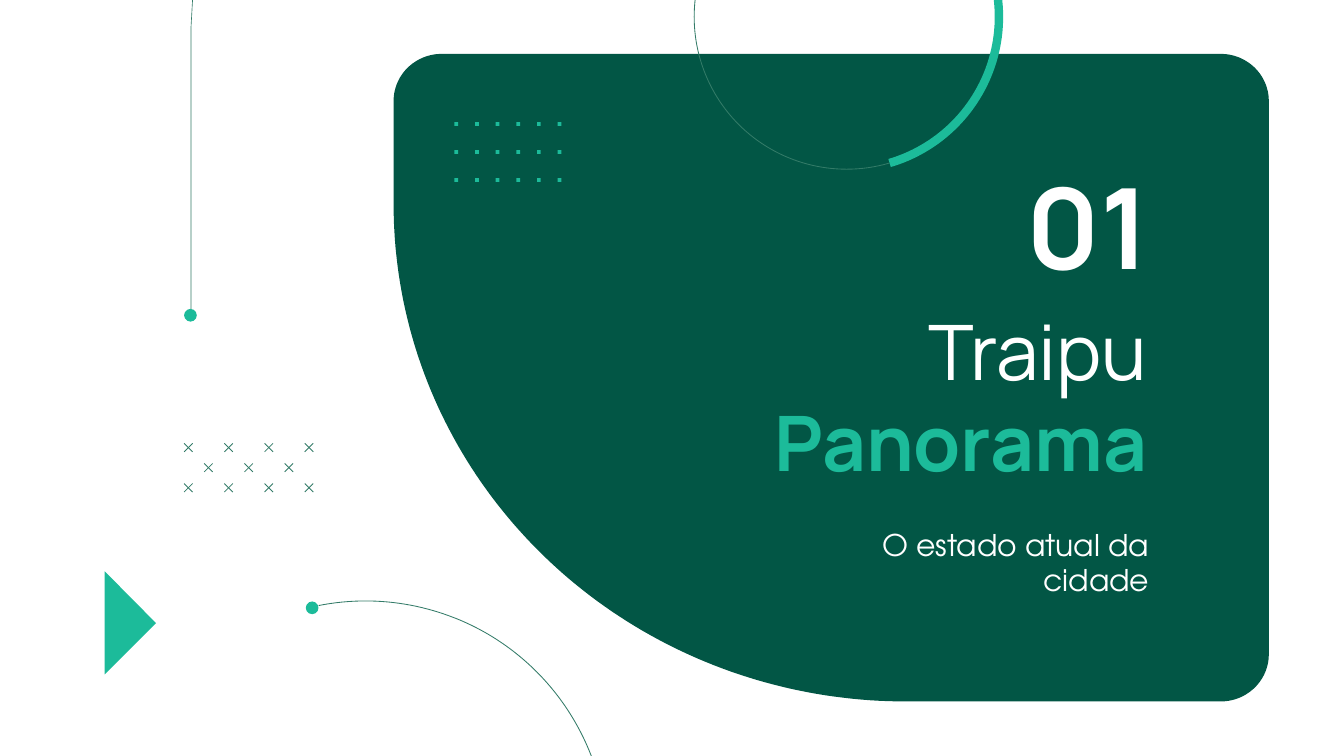
import math
from dataclasses import dataclass

import pptx
import pptx.dml.color
import pptx.enum.shapes
import pptx.enum.text
import pptx.oxml
import pptx.util
from pptx.util import Cm


@dataclass(frozen=True)
class Theme:
    dark: str = "025645"
    accent: str = "1CBB9A"
    outline: str = "337B68"
    light: str = "FFFFFF"
    heading_font: str = "Manrope"
    body_font: str = "TeX Gyre Adventor"
    number_size: int = 60
    title_size: int = 41
    subtitle_size: int = 16
    fine: float = 0.35
    thin: float = 0.44
    thick: float = 4.5


def rgb(color):
    return pptx.dml.color.RGBColor.from_string(color)


def curve(cx, cy, rx, ry, start, step=2):
    """Points of a clockwise quarter ellipse, beginning at start degrees."""
    angles = (math.radians(a) for a in range(start, start + 91, step))
    return [(cx + rx * math.cos(a), cy + ry * math.sin(a)) for a in angles]


class SlideArtist:
    """Draws on one slide; every length is in centimetres."""

    def __init__(self, slide, theme):
        self.shapes = slide.shapes
        self.theme = theme

    def paint(self, shape, fill=None, line=None, width=0):
        shape.shadow.inherit = False
        if fill:
            shape.fill.solid()
            shape.fill.fore_color.rgb = rgb(fill)
        else:
            shape.fill.background()
        if line:
            shape.line.color.rgb = rgb(line)
            shape.line.width = pptx.util.Pt(width)
        else:
            shape.line.fill.background()

    def outline(self, points, close=True, **style):
        first, *rest = [(Cm(x), Cm(y)) for x, y in points]
        builder = self.shapes.build_freeform(*first)
        builder.add_line_segments(rest, close=close)
        self.paint(builder.convert_to_shape(), **style)

    def preset(self, kind, left, top, size, **style):
        shape = self.shapes.add_shape(kind, Cm(left), Cm(top), Cm(size), Cm(size))
        self.paint(shape, **style)
        return shape

    def square(self, left, top, size):
        self.preset(pptx.enum.shapes.MSO_SHAPE.RECTANGLE, left, top, size,
                    fill=self.theme.accent)

    def disc(self, cx, cy, size):
        self.preset(pptx.enum.shapes.MSO_SHAPE.OVAL, cx - size / 2, cy - size / 2,
                    size, fill=self.theme.accent)

    def arc(self, cx, cy, radius, start, end, line, width):
        """Clockwise arc between two angles in degrees."""
        arc = self.preset(pptx.enum.shapes.MSO_SHAPE.ARC, cx - radius, cy - radius,
                          2 * radius, line=line, width=width)
        # Angles are stored in 1/60000 degree, adjustments in 1/100000.
        arc.adjustments[0] = start * 0.6
        arc.adjustments[1] = end * 0.6

    def stroke(self, x1, y1, x2, y2):
        line = self.shapes.add_connector(
            pptx.enum.shapes.MSO_CONNECTOR.STRAIGHT, Cm(x1), Cm(y1), Cm(x2), Cm(y2))
        line.line.color.rgb = rgb(self.theme.outline)
        line.line.width = pptx.util.Pt(self.theme.thin)
        properties = line._element.spPr
        properties.append(pptx.oxml.parse_xml(
            '<a:effectLst xmlns:a="http://schemas.openxmlformats.org/drawingml/2006/main"/>'))

    def cross(self, left, top, size):
        right, bottom = left + size, top + size
        self.stroke(right, bottom, left, top)
        self.stroke(right, top, left, bottom)

    def text(self, left, top, width, height, runs, font, size, bottom=0.0,
             anchor=pptx.enum.text.MSO_ANCHOR.TOP):
        """Right-aligned box; runs are (words, color, bold)."""
        frame = self.shapes.add_textbox(Cm(left), Cm(top), Cm(width), Cm(height)).text_frame
        frame.word_wrap = True
        frame.vertical_anchor = anchor
        frame.margin_left = frame.margin_right = frame.margin_top = Cm(0.25)
        frame.margin_bottom = Cm(bottom)
        paragraph = frame.paragraphs[0]
        paragraph.alignment = pptx.enum.text.PP_ALIGN.RIGHT
        for words, color, bold in runs:
            run = paragraph.add_run()
            run.text = words
            run.font.name = font
            run.font.size = pptx.util.Pt(size)
            run.font.bold = bold
            run.font.color.rgb = rgb(color)


def draw_panel(artist):
    left, top, right, bottom = 7.44, 1.02, 23.98, 13.26
    rx, ry = 0.91, 0.89
    sweep_x, sweep_y = 9.68, 9.4
    artist.outline(
        curve(right - rx, top + ry, rx, ry, 270)
        + curve(right - rx, bottom - ry, rx, ry, 0)
        + curve(left + sweep_x, bottom - sweep_y, sweep_x, sweep_y, 90, step=1)
        + curve(left + rx, top + ry, rx, ry, 180),
        fill=artist.theme.dark)


def draw_patterns(artist):
    pitch = 0.76
    for row in range(3):
        odd = row % 2
        for column in range(4 - odd):
            artist.cross(3.48 + pitch * (column + odd / 2), 8.38 + pitch / 2 * row, 0.16)
    for column in range(6):
        for row in range(3):
            artist.square(8.59 + 0.39 * column, 2.31 + 0.53 * row, 0.07)


def draw_curves(artist):
    theme = artist.theme
    artist.outline([(3.61, 5.97), (3.61, 0.53), (3.64, 0)], close=False,
                   line=theme.outline, width=theme.fine)
    artist.disc(3.6, 5.96, 0.24)

    ring = (16, 0.32, 2.88)
    ring_start, ring_end = 343.7, 73.6
    artist.arc(*ring, ring_end, ring_start, theme.outline, theme.thin)
    artist.arc(*ring, ring_start, ring_end, theme.accent, theme.thick)

    for start, end in ((258.8, 291.6), (291.6, 169.8)):
        artist.arc(6.91, 15.93, 4.57, start, end, theme.outline, theme.thin)
    artist.disc(5.9, 11.49, 0.24)


def main():
    theme = Theme()
    deck = pptx.Presentation()
    deck.slide_width, deck.slide_height = Cm(25.4), Cm(14.29)
    artist = SlideArtist(deck.slides.add_slide(deck.slide_layouts[6]), theme)

    draw_panel(artist)
    artist.outline([(1.98, 12.75), (2.95, 11.78), (1.98, 10.8)], fill=theme.accent)
    artist.text(11.96, 5.49, 9.98, 4.09,
                [("Traipu", theme.light, False), (" Panorama", theme.accent, True)],
                theme.heading_font, theme.title_size, bottom=0.25)
    artist.text(18.77, 2.79, 3.2, 2.72, [("01", theme.light, True)],
                theme.heading_font, theme.number_size,
                anchor=pptx.enum.text.MSO_ANCHOR.BOTTOM)
    artist.text(15.06, 9.7, 6.91, 1.96, [("O estado atual da cidade", theme.light, False)],
                theme.body_font, theme.subtitle_size)
    draw_patterns(artist)
    draw_curves(artist)
    deck.save("out.pptx")


if __name__ == "__main__":
    main()
